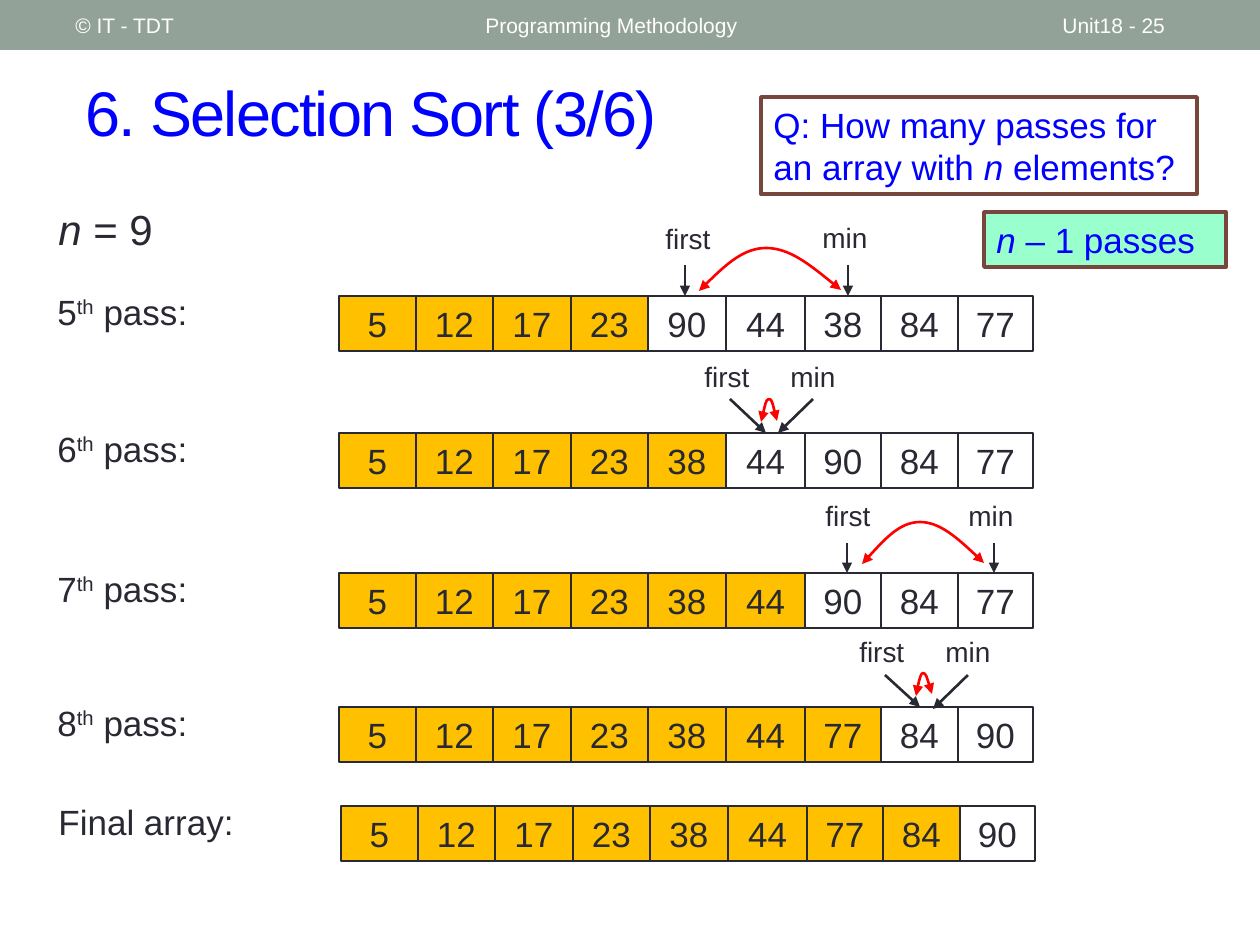
import lxml.etree
import pptx
import pptx.dml.color
import pptx.enum.shapes
import pptx.enum.text
import pptx.oxml.ns
import pptx.util

RGBColor = pptx.dml.color.RGBColor
Align = pptx.enum.text.PP_ALIGN
Anchor = pptx.enum.text.MSO_ANCHOR
qn = pptx.oxml.ns.qn

WHITE = RGBColor(0xFF, 0xFF, 0xFF)
INK = RGBColor(0x29, 0x29, 0x34)
BLUE = RGBColor(0x00, 0x00, 0xFF)
RED = RGBColor(0xFF, 0x00, 0x00)
SORTED = RGBColor(0xFF, 0xC0, 0x00)
HEADER = RGBColor(0x93, 0xA2, 0x99)
BROWN = RGBColor(0x79, 0x46, 0x3D)
MINT = RGBColor(0x99, 0xFF, 0xCC)

PX = 914400 / 126
COLUMN_EDGES = [339, 416, 493, 571, 648, 726, 805, 881, 958, 1033]
CELL_HEIGHT = 55


def emu(pixels):
    return pptx.util.Emu(round(pixels * PX))


class SlideBuilder:
    """Holds the font and the current slide; one method per kind of element."""

    font_name = "Arial"

    def __init__(self, slide):
        self.slide = slide
        self.shapes = slide.shapes

    def set_text(self, shape, parts, size, color, align=Align.LEFT, anchor=Anchor.TOP):
        """Fill a shape with one paragraph of (text, style) parts."""
        frame = shape.text_frame
        frame.word_wrap = True
        frame.vertical_anchor = anchor
        paragraph = frame.paragraphs[0]
        paragraph.alignment = align
        for text, style in parts:
            run = paragraph.add_run()
            run.text = text
            if style == "italic":
                run.font.italic = True
            elif style == "superscript":
                run.font._element.set("baseline", "30000")
        for font in [paragraph.font] + [run.font for run in paragraph.runs]:
            font.name = self.font_name
            font.size = pptx.util.Pt(size)
            font.color.rgb = color
        return paragraph

    def title(self, text, left, top, width, height):
        shape = self.shapes.title
        shape.left, shape.top = emu(left), emu(top)
        shape.width, shape.height = emu(width), emu(height)
        paragraph = self.set_text(shape, [(text, "")], 36, BLUE, anchor=Anchor.MIDDLE)
        paragraph.runs[0].font._element.set("spc", "-100")

    def text(self, parts, left, top, width, height, size, color=INK, anchor=Anchor.TOP):
        shape = self.shapes.add_textbox(emu(left), emu(top), emu(width), emu(height))
        self.set_text(shape, parts, size, color, anchor=anchor)

    def box(self, left, top, width, height, fill=None, line=None, line_width=0.75):
        shape = self.shapes.add_shape(
            pptx.enum.shapes.MSO_SHAPE.RECTANGLE,
            emu(left), emu(top), emu(width), emu(height))
        shape.shadow.inherit = False
        if fill is None:
            shape.fill.background()
        else:
            shape.fill.solid()
            shape.fill.fore_color.rgb = fill
        if line is None:
            shape.line.fill.background()
        else:
            shape.line.color.rgb = line
            shape.line.width = pptx.util.Pt(line_width)
        return shape

    def array(self, values, sorted_count, top, shift=0):
        edges = zip(COLUMN_EDGES, COLUMN_EDGES[1:])
        for index, (value, (left, right)) in enumerate(zip(values, edges)):
            fill = SORTED if index < sorted_count else None
            cell = self.box(left + shift, top, right - left, CELL_HEIGHT, fill, INK)
            self.set_text(cell, [(str(value), "")], 20, INK, Align.CENTER)

    def stroke(self, shape, color, ends):
        shape.line.color.rgb = color
        shape.line.width = pptx.util.Pt(1.5)
        outline = shape._element.spPr.find(qn("a:ln"))
        for end in ends:
            lxml.etree.SubElement(outline, qn(f"a:{end}"), type="triangle")

    def arrow(self, start, end):
        connector = self.shapes.add_connector(
            pptx.enum.shapes.MSO_CONNECTOR.STRAIGHT, *map(emu, start + end))
        self.stroke(connector, INK, ["tailEnd"])
        lxml.etree.SubElement(connector._element.spPr, qn("a:effectLst"))

    def swap_arc(self, start, peak, end):
        """Draw a double-headed arc of two Bezier curves that meet at the peak."""
        (x1, y1), (x2, y2), (x3, y3) = start, peak, end
        points = [
            (x1 + (x2 - x1) * 0.32, (y1 + y2) / 2), (x1 + (x2 - x1) * 0.65, y2), peak,
            (x2 + (x3 - x2) * 0.32, y2), (x2 + (x3 - x2) * 0.65, (y2 + y3) / 2), end]
        builder = self.shapes.build_freeform(x1, y1, scale=PX)
        builder.add_line_segments(points, close=False)
        shape = builder.convert_to_shape()
        shape.shadow.inherit = False
        shape.fill.background()
        segments = list(shape._element.iter(qn("a:lnTo")))
        outline = segments[0].getparent()
        for first in range(0, len(segments), 3):
            curve = lxml.etree.SubElement(outline, qn("a:cubicBezTo"))
            for segment in segments[first:first + 3]:
                curve.append(segment[0])
                outline.remove(segment)
        self.stroke(shape, RED, ["headEnd", "tailEnd"])


# Per pass: ordinal, top, sorted count, values, label places, arrows, swap arc
PASSES = [
    (5, 296, 4, [5, 12, 17, 23, 90, 44, 38, 84, 77],
     [("first", 653, 215), ("min", 810, 214)],
     [((685, 265), (685, 296)), ((848, 265), (848, 296))],
     ((699, 291), (766, 248), (841, 290))),
    (6, 433, 5, [5, 12, 17, 23, 38, 44, 90, 84, 77],
     [("first", 692, 353), ("min", 778, 353)],
     [((730, 399), (766, 433)), ((813, 399), (778, 433))],
     ((761, 422), (769, 399), (777, 421))),
    (7, 573, 6, [5, 12, 17, 23, 38, 44, 90, 84, 77],
     [("first", 813, 492), ("min", 956, 492)],
     [((847, 543), (847, 573)), ((994, 543), (994, 573))],
     ((862, 564), (920, 522), (984, 563))),
    (8, 707, 7, [5, 12, 17, 23, 38, 44, 77, 84, 90],
     [("first", 847, 628), ("min", 933, 628)],
     [((885, 675), (920, 707)), ((968, 675), (933, 709))],
     ((916, 696), (923, 673), (932, 694))),
]


def main():
    presentation = pptx.Presentation()
    presentation.slide_width, presentation.slide_height = emu(1260), emu(945)
    slide = presentation.slides.add_slide(presentation.slide_layouts[5])
    builder = SlideBuilder(slide)

    # Header bar and title
    builder.box(0, 0, 1260, 50, HEADER)
    for text, left, width in [("© IT - TDT", 63, 400),
                              ("Programming Methodology", 473, 567),
                              ("Unit18 - 25", 1050, 147)]:
        builder.text([(text, "")], left, 3, width, 45, 12, WHITE, Anchor.MIDDLE)
    builder.title("6. Selection Sort (3/6)", 73, 53, 1155, 116)
    builder.text([("n", "italic"), (" = 9", "")], 46, 197, 175, 63, 24)

    # Sorting passes
    for ordinal, top, sorted_count, values, labels, arrows, arc in PASSES:
        builder.array(values, sorted_count, top)
        builder.text([(str(ordinal), ""), ("th", "superscript"), (" pass:", "")],
                     45, top - 12, 175, CELL_HEIGHT, 20)
        for text, left, label_top in labels:
            builder.text([(text, "")], left, label_top, 78, 47, 16)
        for start, end in arrows:
            builder.arrow(start, end)
        builder.swap_arc(*arc)

    # Final array
    builder.array([5, 12, 17, 23, 38, 44, 77, 84, 90], 8, 806, shift=2)
    builder.text([("Final array:", "")], 46, 794, 222, CELL_HEIGHT, 20)

    # Question and answer
    question = builder.box(761, 97, 436, 97, WHITE, BROWN, 2.08)
    builder.set_text(question, [("Q: How many passes for an array with ", ""),
                                ("n", "italic"), (" elements?", "")], 20, BLUE)
    answer = builder.box(984, 212, 242, CELL_HEIGHT, MINT, BROWN, 2.08)
    builder.set_text(answer, [("n ", "italic"), ("– 1 passes", "")], 20, BLUE)

    presentation.save("out.pptx")


if __name__ == "__main__":
    main()
